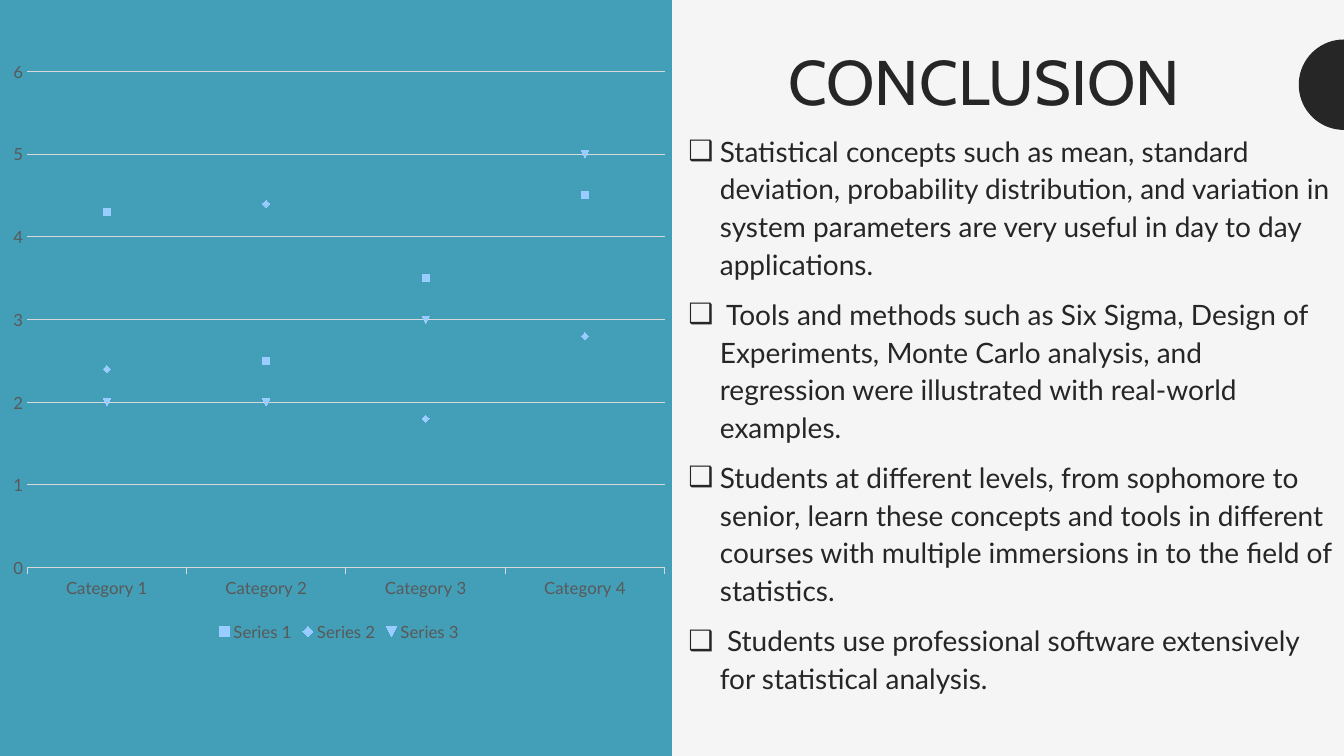
from math import cos, pi, sin

from lxml.etree import SubElement
from pptx import Presentation
from pptx.chart.data import CategoryChartData as ChartData
from pptx.dml.color import RGBColor
from pptx.enum.chart import XL_CHART_TYPE as Kind
from pptx.enum.chart import XL_LEGEND_POSITION as Legend
from pptx.enum.chart import XL_MARKER_STYLE as Marker
from pptx.enum.chart import XL_TICK_MARK as Tick
from pptx.enum.shapes import MSO_SHAPE as Shape
from pptx.enum.text import MSO_ANCHOR as Anchor
from pptx.enum.text import MSO_AUTO_SIZE as Fit
from pptx.enum.text import PP_ALIGN as Align
from pptx.oxml.ns import qn
from pptx.util import Pt

TITLE = "CONCLUSION"
POINTS = [
    "Statistical concepts such as mean, standard deviation, probability "
    "distribution, and variation in system parameters are very useful in "
    "day to day applications.",
    " Tools and methods such as Six Sigma, Design of Experiments, Monte "
    "Carlo analysis, and regression were illustrated with real-world examples.",
    "Students at different levels, from sophomore to senior, learn these "
    "concepts and tools in different courses with multiple immersions in to "
    "the field of statistics.",
    " Students use professional software extensively for statistical analysis.",
]
CATS = ["Category 1", "Category 2", "Category 3", "Category 4"]
SERIES = {
    "Series 1": (4.3, 2.5, 3.5, 4.5),
    "Series 2": (2.4, 4.4, 1.8, 2.8),
    "Series 3": (2, 2, 3, 5),
}
COLORS = {"back": "F5F5F5", "panel": "439EB7", "ink": "262626",
          "label": "595959", "grid": "D9D9D9", "mark": "99CCFF"}
WIDE, HIGH = 960, 540
PLOT = {"x": 0.04, "y": 0.04, "w": 0.94, "h": 0.83}


def color(name):
    return RGBColor.from_string(COLORS[name])


def paint(shape, name):
    shape.fill.solid()
    shape.fill.fore_color.rgb = color(name)
    shape.line.fill.background()
    shape.shadow.inherit = False


def style(font, face, size, name):
    font.name, font.size = face, Pt(size)
    font.color.rgb = color(name)


def place(shape, *box):
    shape.left, shape.top, shape.width, shape.height = map(Pt, box)


deck = Presentation()
deck.slide_width, deck.slide_height = Pt(WIDE), Pt(HIGH)
slide = deck.slides.add_slide(deck.slide_layouts[1])
slide.background.fill.solid()
slide.background.fill.fore_color.rgb = color("back")
shapes = slide.shapes
title, body = slide.placeholders

# Half disc on the right edge
mid, rad, steps = 60.5, 32.3, 36
arc = [(Pt(WIDE - rad * sin(pi * i / steps)), Pt(mid - rad * cos(pi * i / steps)))
       for i in range(steps + 1)]
disc = shapes.build_freeform(*arc[0])
disc.add_line_segments(arc[1:], close=True)
paint(disc.convert_to_shape(), "ink")

# Left panel
paint(shapes.add_shape(Shape.RECTANGLE, 0, 0, Pt(WIDE / 2), Pt(HIGH)), "panel")

# Title
place(title, 502, 34, 402, 54)
frame = title.text_frame
frame.text = TITLE
frame.auto_size = Fit.NONE
frame.vertical_anchor = Anchor.MIDDLE
head = frame.paragraphs[0]
head.alignment, head.line_spacing = Align.CENTER, 0.9
style(head.font, "Cabin", 45, "ink")

# Bulleted list
place(body, 484.5, 89.5, 475.5, 433)
frame = body.text_frame
frame.text = "\n".join(POINTS)
frame.auto_size = Fit.NONE
frame.vertical_anchor = Anchor.TOP
for para in frame.paragraphs:
    para.line_spacing, para.space_before = 1.12, Pt(9)
    style(para.font, "Lato", 20, "ink")
    props = para._p.get_or_add_pPr()
    props.set("marL", str(Pt(22.5)))
    props.set("indent", str(-Pt(22.5)))
    bullet = SubElement(props, qn("a:buChar"))
    bullet.set("char", "❑")
    props.insert(props.index(props.find(qn("a:defRPr"))), bullet)

# Chart
data = ChartData()
data.categories = CATS
for name, vals in SERIES.items():
    data.add_series(name, vals)
chart = shapes.add_chart(Kind.LINE_MARKERS, 0, Pt(34), Pt(484.5), Pt(427), data).chart
chart.has_title = False
style(chart.font, "Lato", 12, "label")
chart.has_legend = True
chart.legend.position = Legend.BOTTOM
chart.legend.include_in_layout = False
style(chart.legend.font, "Lato", 12, "label")

plot = chart.plots[0]
plot.vary_by_categories = False
for line in plot.series:
    line.smooth = False
    line.format.line.fill.background()
    mark = line.marker
    mark.style, mark.size = Marker.AUTOMATIC, 5
    mark.format.fill.solid()
    mark.format.fill.fore_color.rgb = color("mark")
    mark.format.line.fill.background()

# Axes
cat, val = chart.category_axis, chart.value_axis
val.minimum_scale, val.maximum_scale, val.major_unit = 0, 6, 1
cat.major_tick_mark, val.major_tick_mark = Tick.OUTSIDE, Tick.NONE
val.has_major_gridlines = True
for rule in (cat.format.line, val.major_gridlines.format.line):
    rule.color.rgb, rule.width = color("grid"), Pt(0.75)
val.format.line.fill.background()
for axis in (cat, val):
    style(axis.tick_labels.font, "Lato", 12, "label")

# Inner plot area, as shares of the chart
area = chart._chartSpace.chart.plotArea
for old in area.findall(qn("c:layout")):
    area.remove(old)
layout = SubElement(area, qn("c:layout"))
area.insert(0, layout)
manual = SubElement(layout, qn("c:manualLayout"))
marks = {"layoutTarget": "inner", "xMode": "edge", "yMode": "edge", **PLOT}
for tag, value in marks.items():
    SubElement(manual, qn("c:" + tag)).set("val", str(value))

deck.save("out.pptx")
